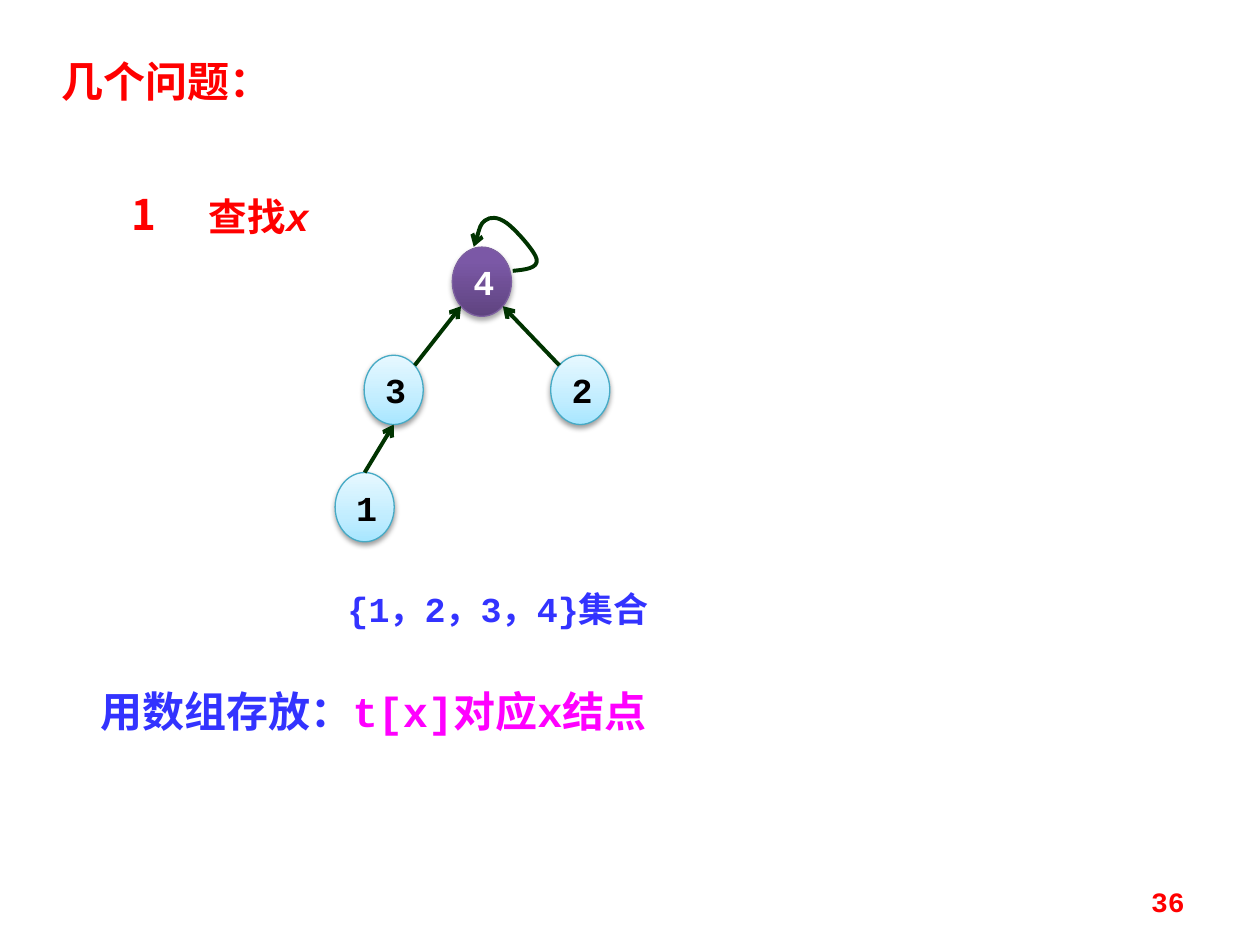
from dataclasses import dataclass
from math import cos, radians, sin

from pptx import Presentation
from pptx.dml.color import RGBColor
from pptx.enum.shapes import MSO_CONNECTOR, MSO_SHAPE
from pptx.enum.text import MSO_ANCHOR, MSO_AUTO_SIZE, PP_ALIGN
from pptx.oxml import parse_xml
from pptx.oxml.ns import nsdecls
from pptx.util import Pt

TITLE_ONLY = 5
OVAL = MSO_SHAPE.OVAL
STRAIGHT = MSO_CONNECTOR.STRAIGHT
TOP, MIDDLE = MSO_ANCHOR.TOP, MSO_ANCHOR.MIDDLE
LEFT, CENTER, RIGHT = PP_ALIGN.LEFT, PP_ALIGN.CENTER, PP_ALIGN.RIGHT
GROW = MSO_AUTO_SIZE.SHAPE_TO_FIT_TEXT


@dataclass(frozen=True)
class NodeStyle:
    stops: tuple
    line: str
    text: str
    shadow_alpha: int
    shadow_distance: float


@dataclass(frozen=True)
class Theme:
    mono: str = "Courier New"
    cjk: str = "Noto Sans CJK SC"
    red: str = "FF0000"
    blue: str = "3333FF"
    magenta: str = "FF00FF"
    arrow: str = "003300"
    heading: int = 24
    item: int = 22
    body: int = 20
    number: int = 16
    arrow_width: float = 2.25
    node_size: tuple = (33.8, 39.6)
    root: NodeStyle = NodeStyle(
        ((0, "5F4480"), (80, "7B58A6"), (100, "7C57A8")), "7D60A0", "FFFFFF", 35, 1.8)
    child: NodeStyle = NodeStyle(
        ((0, "A7E6FF"), (35, "C1EDFF"), (100, "E7F8FF")), "46AAC5", "000000", 38, 1.6)


def xml(tag, attrs="", inner=""):
    return parse_xml(f"<a:{tag} {nsdecls('a')} {attrs}>{inner}</a:{tag}>")


class SlideBuilder:
    def __init__(self, slide, theme):
        self.slide = slide
        self.shapes = slide.shapes
        self.theme = theme

    def add_run(self, p, text, size, color, font=None, italic=None):
        r = p.add_run()
        r.text = text
        f = r.font
        f.name = font or self.theme.mono
        f.size, f.bold, f.italic = Pt(size), True, italic
        f.color.rgb = RGBColor.from_string(color)
        r._r.get_or_add_rPr().find("{*}latin").addnext(
            xml("ea", f'typeface="{self.theme.cjk}"'))

    def fill_text(self, s, runs, align=LEFT, anchor=TOP, grow=True):
        tf = s.text_frame
        tf.word_wrap = True
        tf.vertical_anchor = anchor
        if grow:
            tf.auto_size = GROW
        p = tf.paragraphs[0]
        p.alignment = align
        for run in runs:
            self.add_run(p, *run)
        return p

    def title(self, box, runs):
        s = self.shapes.title
        s.left, s.top, s.width, s.height = map(Pt, box)
        self.fill_text(s, runs)

    def text(self, box, runs, **layout):
        return self.fill_text(self.shapes.add_textbox(*map(Pt, box)), runs, **layout)

    def node(self, label, center, style):
        w, h = self.theme.node_size
        x, y = center
        s = self.shapes.add_shape(OVAL, Pt(x - w / 2), Pt(y - h / 2), Pt(w), Pt(h))
        # Vertical gradient, first stop at the bottom
        s.fill.gradient()
        s.fill.gradient_angle = 90
        stops = s._element.spPr.find(".//{*}gsLst")
        for old in list(stops):
            stops.remove(old)
        for pos, color in style.stops:
            stops.append(xml("gs", f'pos="{pos * 1000}"', f'<a:srgbClr val="{color}"/>'))
        s.line.color.rgb = RGBColor.from_string(style.line)
        s.line.width = Pt(0.75)
        # Soft shadow below
        s._element.spPr.append(xml("effectLst", inner=(
            f'<a:outerShdw blurRad="{Pt(3.1)}" dist="{Pt(style.shadow_distance)}" '
            f'dir="5400000" rotWithShape="0"><a:srgbClr val="000000">'
            f'<a:alpha val="{style.shadow_alpha * 1000}"/></a:srgbClr></a:outerShdw>')))
        self.fill_text(s, [(label, self.theme.body, style.text)], CENTER, MIDDLE, False)

    def arrow_line(self, s):
        s.line.color.rgb = RGBColor.from_string(self.theme.arrow)
        s.line.width = Pt(self.theme.arrow_width)
        s.line._get_or_add_ln().append(xml("tailEnd", 'type="arrow"'))

    def rim(self, center, degrees):
        w, h = self.theme.node_size
        a = radians(degrees)
        return center[0] + w / 2 * cos(a), center[1] - h / 2 * sin(a)

    def edge(self, child, child_angle, parent, parent_angle):
        ends = self.rim(child, child_angle) + self.rim(parent, parent_angle)
        s = self.shapes.add_connector(STRAIGHT, *map(Pt, ends))
        s._element.spPr.append(xml("effectLst"))
        self.arrow_line(s)

    def curve(self, points):
        pts = [(Pt(x), Pt(y)) for x, y in points]
        fb = self.shapes.build_freeform(*pts[0])
        fb.add_line_segments(pts[1:], close=False)
        s = fb.convert_to_shape()
        # Every three points after the start form one Bezier segment
        outline = s._element.spPr.find(".//{*}pathLst")[0]
        outline.set("fill", "none")
        segments = outline.findall("{*}lnTo")
        for i in range(0, len(segments), 3):
            bezier = xml("cubicBezTo")
            for seg in segments[i:i + 3]:
                bezier.append(seg[0])
                outline.remove(seg)
            outline.append(bezier)
        s.fill.background()
        s.shadow.inherit = False
        self.arrow_line(s)


def main():
    prs = Presentation()
    prs.slide_width, prs.slide_height = Pt(720), Pt(540)
    t = Theme()
    b = SlideBuilder(prs.slides.add_slide(prs.slide_layouts[TITLE_ONLY]), t)

    # Title and numbered question
    b.title((28, 28, 230, 36), [("几个问题：", t.heading, t.red, t.cjk)])
    p = b.text((112.3, 106.5, 118, 34), [
        ("查找", t.item, t.red), ("x", t.item, t.red, None, True)])
    pPr = p._p.get_or_add_pPr()
    pPr.set("marL", str(int(Pt(36))))
    pPr.set("indent", str(-int(Pt(36))))
    b.text((67, 104.4, 30, 36), [("1", t.heading, t.red, t.cjk)], align=CENTER)

    # Tree nodes
    centers = {"4": (275.4, 161), "3": (225, 222.8),
               "2": (331.6, 222.8), "1": (208.4, 289.8)}
    for label, center in centers.items():
        b.node(label, center, t.root if label == "4" else t.child)

    # Child-to-parent arrows: angles on each node's rim
    for child, child_angle, parent, parent_angle in (
            ("3", 45, "4", 225), ("2", 135, "4", 315), ("1", 90, "3", 270)):
        b.edge(centers[child], child_angle, centers[parent], parent_angle)

    # Root's loop to itself
    b.curve([(293, 154.8),
             (300.2, 154.1), (307.4, 153.4), (306.7, 148.3),
             (306, 144), (294.5, 131), (289.4, 127.4),
             (284.4, 123.8), (280.1, 123.8), (277.2, 126),
             (274.3, 128.2), (272.9, 134.6), (270.7, 141.1)])

    # Set and array captions
    b.text((191.5, 332, 196.6, 31.7), [("{1，2，3，4}集合", t.body, t.blue)])
    b.text((50.4, 388, 366, 36), [
        ("用数组存放：", t.heading, t.blue), ("t[x]对应x结点", t.heading, t.magenta)])

    # Slide number
    b.text((516.2, 500.4, 167.8, 28.8), [("36", t.number, t.red)],
           align=RIGHT, anchor=MIDDLE, grow=False)

    prs.save("out.pptx")


if __name__ == "__main__":
    main()
